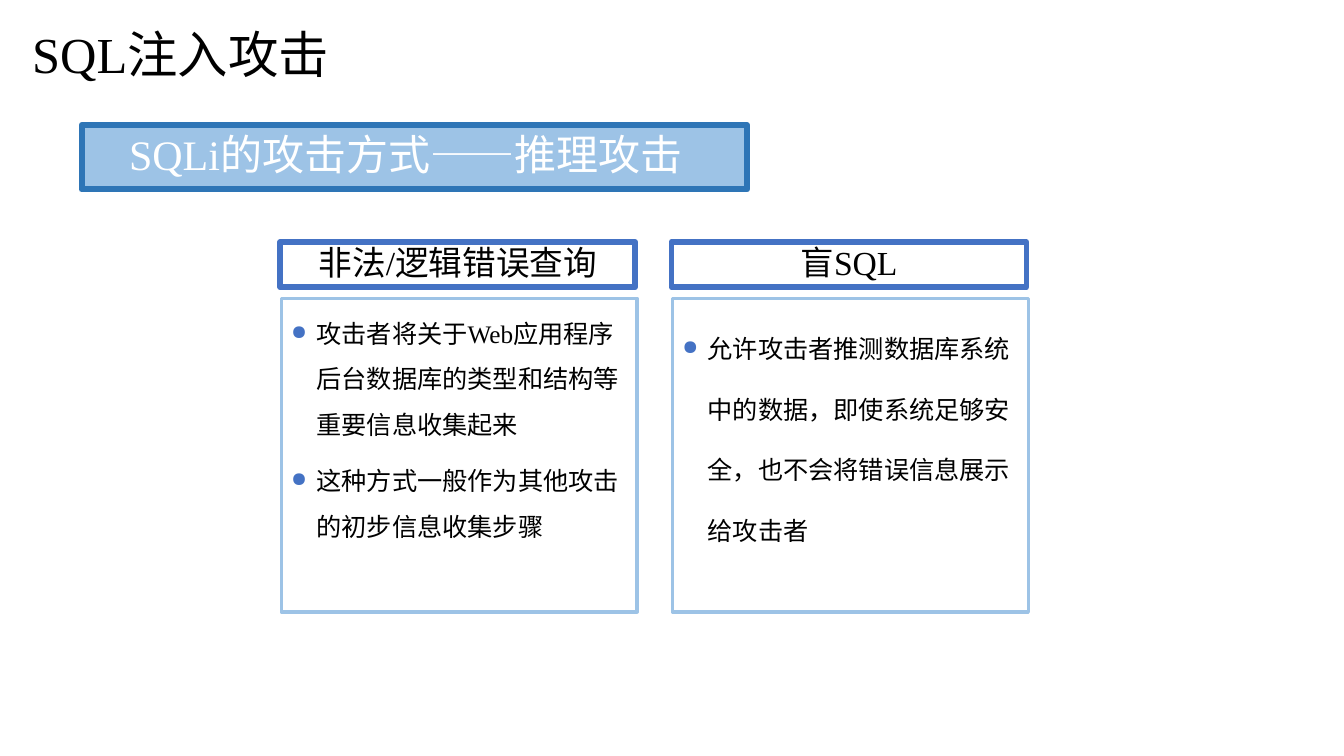
from pptx import Presentation
from pptx.dml.color import RGBColor
from pptx.enum.shapes import MSO_SHAPE
from pptx.enum.text import MSO_ANCHOR, PP_ALIGN
from pptx.oxml.ns import qn
from pptx.util import Inches, Pt
from lxml.etree import SubElement

TITLE = "SQL注入攻击"
BANNER = "SQLi的攻击方式——推理攻击"
CARDS = [
    {
        "heading": "非法/逻辑错误查询",
        "points": [
            "攻击者将关于Web应用程序后台数据库的类型和结构等重要信息收集起来",
            "这种方式一般作为其他攻击的初步信息收集步骤",
        ],
        "line_spacing": 1.5,
    },
    {
        "heading": "盲SQL",
        "points": ["允许攻击者推测数据库系统中的数据，即使系统足够安全，也不会将错误信息展示给攻击者"],
        "line_spacing": 2.0,
    },
]
COLORS = {
    "text": "000000",
    "banner_text": "FFFFFF",
    "light_blue": "9DC3E6",
    "dark_blue": "2E75B6",
    "accent": "4472C4",
}
FONT = "Times New Roman"
CARD_LEFT, CARD_STEP = 2.78, 3.88


def color(name):
    return RGBColor.from_string(COLORS[name])


def add_box(slide, left, top, width, height, line, line_width, fill=None):
    shape = slide.shapes.add_shape(
        MSO_SHAPE.RECTANGLE, Inches(left), Inches(top), Inches(width), Inches(height))
    shape.shadow.inherit = False
    if fill:
        shape.fill.solid()
        shape.fill.fore_color.rgb = color(fill)
    else:
        shape.fill.background()
    shape.line.color.rgb = color(line)
    shape.line.width = Pt(line_width)
    SubElement(shape.line._get_or_add_ln(), qn("a:round"))
    return shape


def set_margins(frame, horizontal, vertical):
    frame.margin_left = frame.margin_right = Inches(horizontal)
    frame.margin_top = frame.margin_bottom = Inches(vertical)


def add_bullet(paragraph):
    properties = paragraph._p.get_or_add_pPr()
    properties.set("marL", str(Inches(0.25)))
    properties.set("indent", str(-Inches(0.25)))
    bullet_color = SubElement(properties, qn("a:buClr"))
    SubElement(bullet_color, qn("a:srgbClr"), val=COLORS["accent"])
    SubElement(properties, qn("a:buSzPct"), val="80000")
    SubElement(properties, qn("a:buChar"), char="●")


def write_lines(shape, lines, size, font_color="text", align=PP_ALIGN.LEFT,
                line_spacing=0.9, anchor=MSO_ANCHOR.MIDDLE, bullets=False):
    frame = shape.text_frame
    frame.word_wrap = True
    frame.vertical_anchor = anchor
    for index, line in enumerate(lines):
        paragraph = frame.add_paragraph() if index else frame.paragraphs[0]
        paragraph.text = line
        if bullets:
            add_bullet(paragraph)
        paragraph.alignment = align
        paragraph.line_spacing = line_spacing
        if index:
            paragraph.space_before = Pt(8)
        paragraph.font.name = FONT
        paragraph.font.size = Pt(size)
        paragraph.font.color.rgb = color(font_color)


def add_card(slide, left, card):
    heading = add_box(slide, left, 2.4, 3.52, 0.45, "accent", 4)
    write_lines(heading, [card["heading"]], 24, align=PP_ALIGN.CENTER)
    body = add_box(slide, left + 0.01, 2.96, 3.53, 3.11, "light_blue", 2.5)
    write_lines(body, card["points"], 18, line_spacing=card["line_spacing"],
                anchor=MSO_ANCHOR.TOP, bullets=True)


def main():
    presentation = Presentation()
    presentation.slide_width, presentation.slide_height = Inches(13.33), Inches(7.5)
    slide = presentation.slides.add_slide(presentation.slide_layouts[6])

    title = slide.shapes.add_textbox(Inches(0.21), Inches(0), Inches(7.43), Inches(1.06))
    set_margins(title.text_frame, 0.11, 0.06)
    write_lines(title, [TITLE], 36, line_spacing=1.0)

    banner = add_box(slide, 0.81, 1.24, 6.6, 0.64, "dark_blue", 4.33, fill="light_blue")
    set_margins(banner.text_frame, 0.47, 0)
    write_lines(banner, [BANNER], 30, "banner_text")

    for index, card in enumerate(CARDS):
        add_card(slide, CARD_LEFT + index * CARD_STEP, card)

    presentation.save("out.pptx")


if __name__ == "__main__":
    main()
